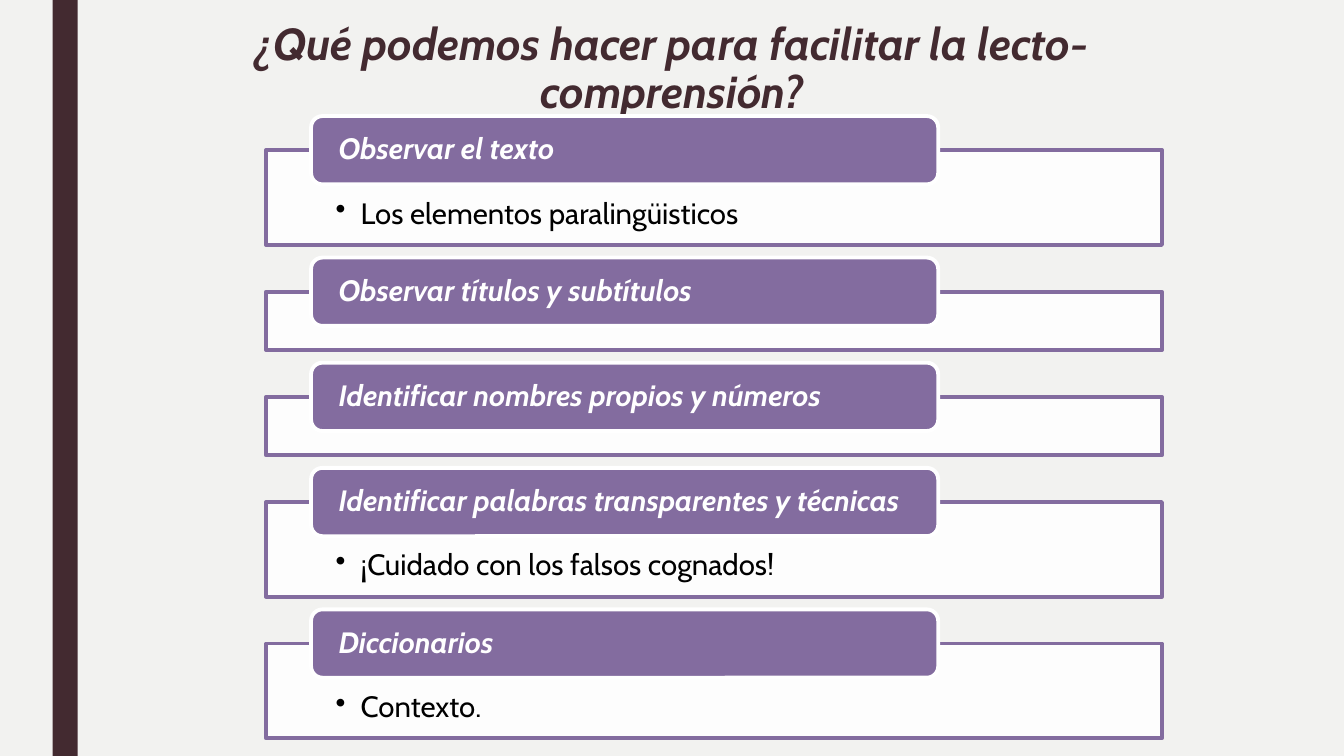
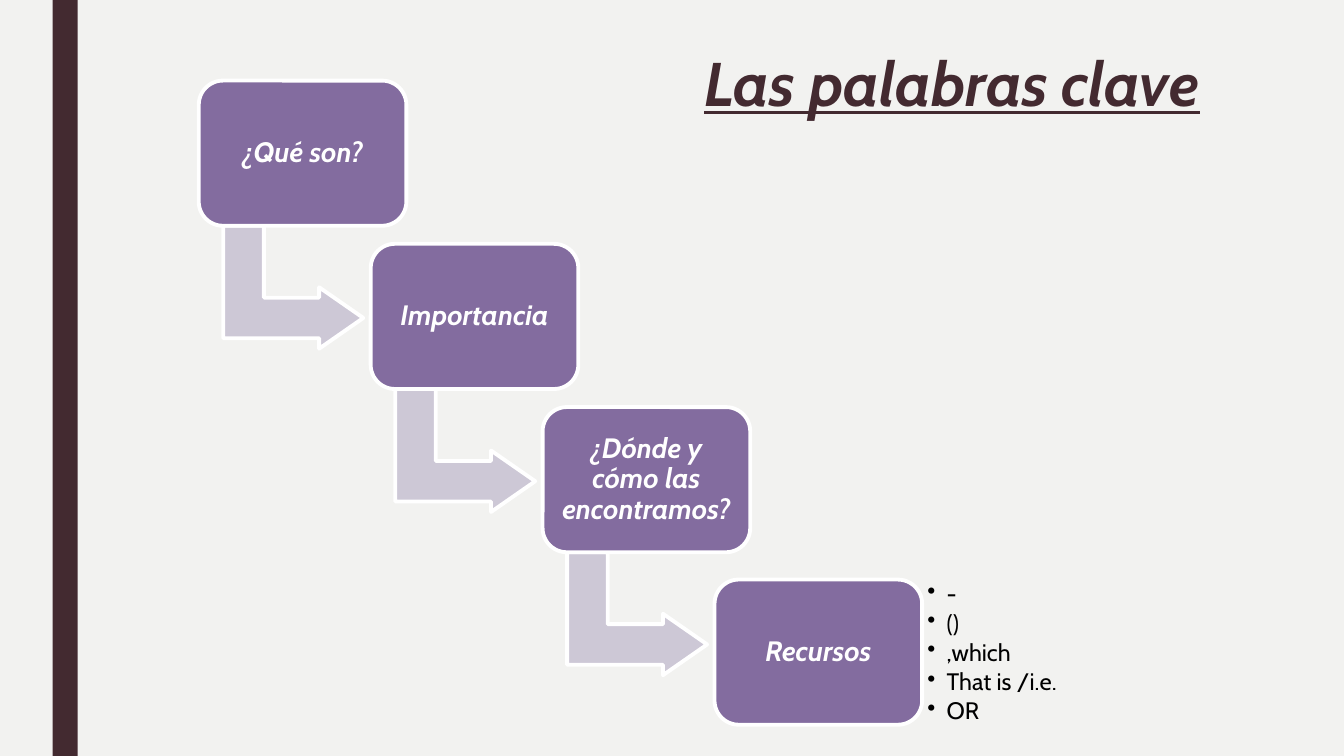
"""Build two reading-comprehension slides: a list of strategies and a staircase of keyword steps."""
from dataclasses import dataclass

from lxml import etree
from pptx import Presentation
from pptx.dml.color import RGBColor
from pptx.enum import shapes, text
from pptx.oxml import ns
from pptx.util import Pt


@dataclass(frozen=True)
class Theme:
    font: str = "Cabin"
    paper: str = "F2F2F0"
    dark: str = "432A30"
    purple: str = "836C9F"
    arrow: str = "CDC8D6"
    white: str = "FFFFFF"
    black: str = "000000"
    row_size: int = 21
    card_size: int = 20
    list_size: int = 17
    outline: float = 2.75


theme = Theme()
Kind = shapes.MSO_SHAPE
Align = text.PP_ALIGN
Anchor = text.MSO_ANCHOR


def add_box(slide, kind, left, top, width, height, fill, line=None):
    shape = slide.shapes.add_shape(kind, Pt(left), Pt(top), Pt(width), Pt(height))
    shape.shadow.inherit = False
    shape.fill.solid()
    shape.fill.fore_color.rgb = RGBColor.from_string(fill)
    if line:
        shape.line.color.rgb = RGBColor.from_string(line)
        shape.line.width = Pt(theme.outline)
    else:
        shape.line.fill.background()
    return shape


def write(shape, lines, size, colour, margins, align=Align.LEFT, anchor=Anchor.MIDDLE,
          strong=True, spacing=0.9, after=0, bullet_indent=0):
    frame = shape.text_frame
    frame.word_wrap = True
    frame.vertical_anchor = anchor
    frame.margin_left, frame.margin_top, frame.margin_right, frame.margin_bottom = map(Pt, margins)
    frame.text = "\n".join(lines)
    for paragraph in frame.paragraphs:
        paragraph.alignment = align
        paragraph.line_spacing = spacing
        paragraph.space_after = Pt(after)
        if bullet_indent:
            properties = paragraph._p.get_or_add_pPr()
            properties.set("marL", str(Pt(bullet_indent)))
            properties.set("indent", str(-Pt(bullet_indent)))
            etree.SubElement(properties, ns.qn("a:buChar"), char="•")
        for run in paragraph.runs:
            run.font.name = theme.font
            run.font.size = Pt(size)
            run.font.bold = run.font.italic = strong
            run.font.color.rgb = RGBColor.from_string(colour)


presentation = Presentation()
presentation.slide_width, presentation.slide_height = Pt(960), Pt(540)

titles = [
    ("¿Qué podemos hacer para facilitar la lecto-comprensión?", 102.2, 12.2, 32, Align.CENTER, False),
    ("Las palabras clave", 108, 34.6, 44, Align.RIGHT, True),
]
slides = []
for title, left, top, size, align, underline in titles:
    slide = presentation.slides.add_slide(presentation.slide_layouts[6])
    slide.background.fill.solid()
    slide.background.fill.fore_color.rgb = RGBColor.from_string(theme.paper)
    add_box(slide, Kind.RECTANGLE, 37.5, 0, 18, 540, theme.dark)
    title_box = slide.shapes.add_textbox(Pt(left), Pt(top), Pt(756), Pt(116.6))
    write(title_box, [title], size, theme.dark, (7.2, 3.6, 7.2, 3.6), align, Anchor.TOP, spacing=0.89)
    title_box.text_frame.paragraphs[0].runs[0].font.underline = underline
    slides.append(slide)
strategies_slide, keywords_slide = slides

strategies = [
    ("Observar el texto", "Los elementos paralingüisticos"),
    ("Observar títulos y subtítulos", None),
    ("Identificar nombres propios y números", None),
    ("Identificar palabras transparentes y técnicas", "¡Cuidado con los falsos cognados!"),
    ("Diccionarios", "Contexto."),
]
panel_top, panel_gap = 107.3, 33.4
for heading, detail in strategies:
    panel_height = 67.7 if detail else 41.7
    panel = add_box(strategies_slide, Kind.RECTANGLE, 190, panel_top, 640, panel_height,
                    theme.white, theme.purple)
    fill_colour = panel._element.xpath("./p:spPr/a:solidFill/a:srgbClr")[0]
    etree.SubElement(fill_colour, ns.qn("a:alpha"), val="90000")
    if detail:
        write(panel, [detail], theme.row_size, theme.black, (49.7, 34.6, 49.7, 11.5),
              anchor=Anchor.TOP, strong=False, bullet_indent=18)
    tab = add_box(strategies_slide, Kind.ROUNDED_RECTANGLE, 222.2, panel_top - 24.4, 448, 48.8,
                  theme.purple, theme.white)
    write(tab, [heading], theme.row_size, theme.white, (17.3, 0, 17.3, 0))
    panel_top += panel_height + panel_gap

steps = ["¿Qué son?", "Importancia", "¿Dónde y cómo las encontramos?", "Recursos"]
card_tops = [57.6, 174.2, 290.8, 414]
for index, (step, card_top) in enumerate(zip(steps, card_tops)):
    card_left = 142 + 122.8 * index
    if index < len(steps) - 1:
        arrow = add_box(keywords_slide, Kind.BENT_UP_ARROW, card_left + 23.6, card_top + 97.6,
                        87.8, 100, theme.arrow, theme.white)
        arrow.rotation = 90
        for position, value in enumerate((0.33, 0.25, 0.36)):
            arrow.adjustments[position] = value
    card = add_box(keywords_slide, Kind.ROUNDED_RECTANGLE, card_left, card_top, 148.3, 103.7,
                   theme.purple, theme.white)
    write(card, [step], theme.card_size, theme.white, (5.8,) * 4, Align.CENTER)

resources = keywords_slide.shapes.add_textbox(Pt(656), Pt(408.2), Pt(197.3), Pt(117.4))
write(resources, ["-", "()", ",which", "That is /i.e.", "OR"], theme.list_size, theme.black,
      (6.5,) * 4, strong=False, after=2.5, bullet_indent=13.7)

presentation.save("out.pptx")
